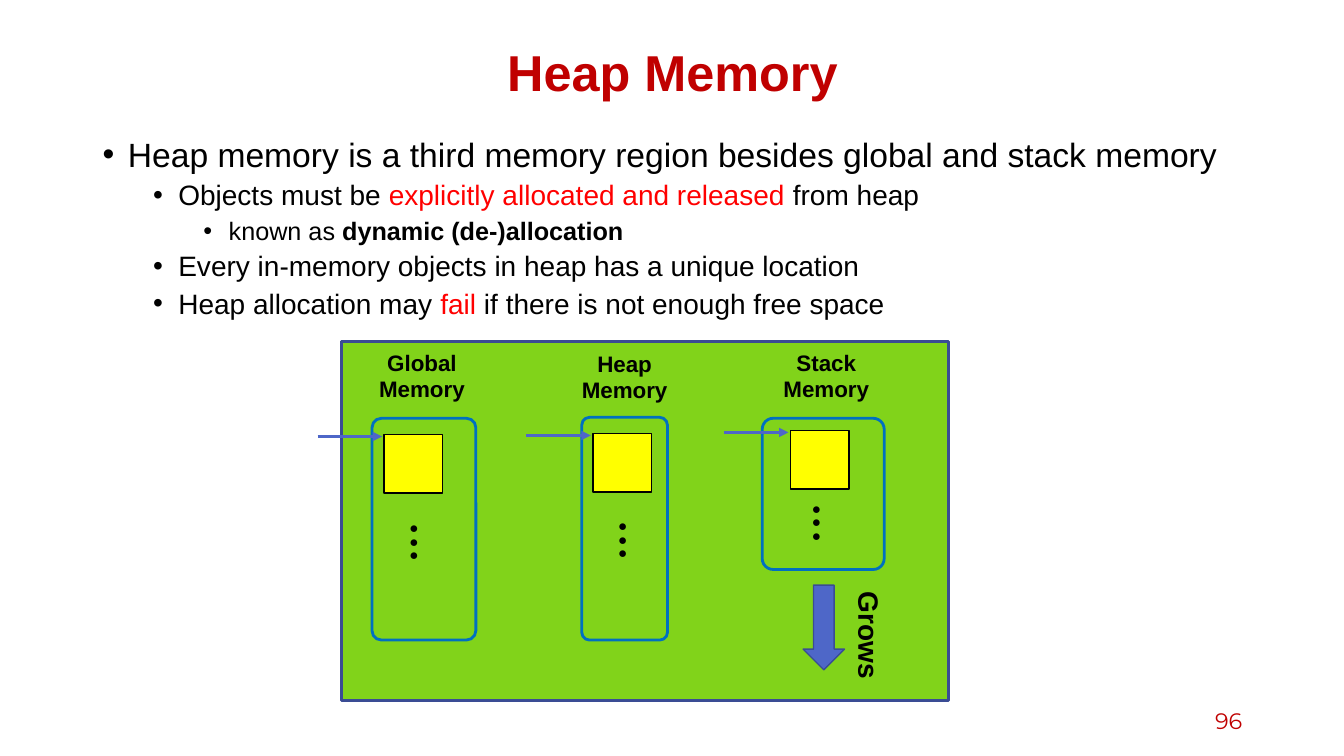
from lxml import etree
from pptx import Presentation
from pptx.dml.color import RGBColor
from pptx.enum.shapes import MSO_CONNECTOR, MSO_SHAPE
from pptx.enum.text import MSO_ANCHOR, PP_ALIGN
from pptx.oxml.ns import qn
from pptx.util import Inches, Pt

RECT = MSO_SHAPE.RECTANGLE
ROUND = MSO_SHAPE.ROUNDED_RECTANGLE
ARROW = MSO_SHAPE.RIGHT_ARROW
LINE = MSO_CONNECTOR.STRAIGHT
LEFT, CENTER, RIGHT = PP_ALIGN.LEFT, PP_ALIGN.CENTER, PP_ALIGN.RIGHT
TOP, MIDDLE = MSO_ANCHOR.TOP, MSO_ANCHOR.MIDDLE

BLACK = RGBColor(0, 0, 0)
RED = RGBColor(0xFF, 0, 0)
CRIMSON = RGBColor(0xC0, 0, 0)
GREEN = RGBColor(0x81, 0xD3, 0x1A)
YELLOW = RGBColor(0xFF, 0xFF, 0)
BLUE = RGBColor(0, 0x70, 0xC0)
INDIGO = RGBColor(0x4E, 0x67, 0xC8)
NAVY = RGBColor(0x3A, 0x4C, 0x94)

SIZES = (24, 20, 18)
POINTS = [
    (0, [("Heap memory is a third memory region besides global and stack memory", BLACK, False)]),
    (1, [("Objects must be ", BLACK, False),
         ("explicitly allocated and released ", RED, False),
         ("from heap", BLACK, False)]),
    (2, [("known as ", BLACK, False), ("dynamic (de-)allocation", BLACK, True)]),
    (1, [("Every in-memory objects in heap has a unique location", BLACK, False)]),
    (1, [("Heap allocation may ", BLACK, False), ("fail", RED, False),
         (" if there is not enough free space", BLACK, False)]),
]

# name, label position, region box, cell position, dots position
REGIONS = [
    ("Global", (3.44, 3.41), (3.69, 4.15, 1.03, 2.2), (3.81, 4.31), (3.7, 5.38)),
    ("Heap", (5.45, 3.42), (5.77, 4.14, 0.85, 2.21), (5.88, 4.3), (5.77, 5.36)),
    ("Stack", (7.45, 3.41), (7.56, 4.15, 1.21, 1.5), (7.84, 4.27), (7.69, 5.19)),
]


def add_frame(slide, box, anchor=TOP, turn=0):
    shape = slide.shapes.add_textbox(*map(Inches, box))
    shape.rotation = turn
    frame = shape.text_frame
    frame.word_wrap = True
    frame.vertical_anchor = anchor
    return frame


def style(font, size, color=BLACK, bold=False, face="Arial"):
    font.name = face
    font.size = Pt(size)
    font.color.rgb = color
    font.bold = bold


def add_text(slide, box, lines, size, color=BLACK, bold=False, face="Arial",
             align=LEFT, anchor=TOP, turn=0):
    frame = add_frame(slide, box, anchor, turn)
    for i, line in enumerate(lines):
        para = frame.add_paragraph() if i else frame.paragraphs[0]
        para.text = line
        para.alignment = align
        style(para.font, size, color, bold, face)
    return frame


def add_points(slide, box):
    frame = add_frame(slide, box)
    for i, (level, parts) in enumerate(POINTS):
        para = frame.add_paragraph() if i else frame.paragraphs[0]
        para.level = level
        para.line_spacing = 0.9
        para.space_before = Pt(5 if i else 0)
        props = para._p.get_or_add_pPr()
        props.set("marL", str(Inches(0.25 + 0.5 * level)))
        props.set("indent", str(Inches(-0.25)))
        etree.SubElement(props, qn("a:buFont")).set("typeface", "Arial")
        etree.SubElement(props, qn("a:buChar")).set("char", "•")
        style(para.font, SIZES[level])
        for text, color, bold in parts:
            run = para.add_run()
            run.text = text
            if color != BLACK:
                run.font.color.rgb = color
            if bold:
                run.font.bold = True


def add_block(slide, kind, box, fill, line, width, turn=0):
    shape = slide.shapes.add_shape(kind, *map(Inches, box))
    shape.shadow.inherit = False
    shape.rotation = turn
    if fill is None:
        shape.fill.background()
    else:
        shape.fill.solid()
        shape.fill.fore_color.rgb = fill
    shape.line.color.rgb = line
    shape.line.width = Pt(width)
    return shape


def add_arrow(slide, x, y, length):
    arrow = slide.shapes.add_connector(
        LINE, Inches(x), Inches(y), Inches(x + length), Inches(y))
    arrow.line.color.rgb = INDIGO
    arrow.line.width = Pt(2.25)
    etree.SubElement(arrow.line._get_or_add_ln(), qn("a:tailEnd")).set("type", "triangle")
    etree.SubElement(arrow._element.spPr, qn("a:effectLst"))


def add_region(slide, name, label, box, cell, dots):
    add_text(slide, (*label, 1.49, 0.64), (name, "Memory"), 16, bold=True, align=CENTER)
    add_block(slide, ROUND, box, None, BLUE, 2).adjustments[0] = 0.09
    add_block(slide, RECT, (*cell, 0.58, 0.58), YELLOW, BLACK, 1)
    x, y = cell
    add_arrow(slide, x - 0.66, y + 0.02, 0.64)
    add_text(slide, (*dots, 0.84, 0.29), ["● ● ●"], 11, turn=90)


def main():
    deck = Presentation()
    deck.slide_width = Inches(13.33)
    deck.slide_height = Inches(7.5)
    slide = deck.slides.add_slide(deck.slide_layouts[6])
    title = add_text(slide, (0.92, 0.4, 11.5, 0.7), ["Heap Memory"], 36, CRIMSON,
                     bold=True, align=CENTER, anchor=MIDDLE)
    title.paragraphs[0].line_spacing = 0.9
    add_points(slide, (0.92, 1.32, 11.5, 5.51))
    add_text(slide, (9.42, 6.95, 3, 0.4), ["96"], 16, CRIMSON,
             face="Montserrat", align=RIGHT, anchor=MIDDLE)
    add_block(slide, RECT, (3.39, 3.39, 6.02, 3.56), GREEN, NAVY, 2.25)
    for region in REGIONS:
        add_region(slide, *region)
    add_block(slide, ARROW, (7.75, 6.02, 0.84, 0.41), INDIGO, NAVY, 1, turn=90)
    add_text(slide, (8.06, 6.11, 1.12, 0.44), ["Grows"], 20, bold=True, turn=90)
    deck.save("out.pptx")


if __name__ == "__main__":
    main()
